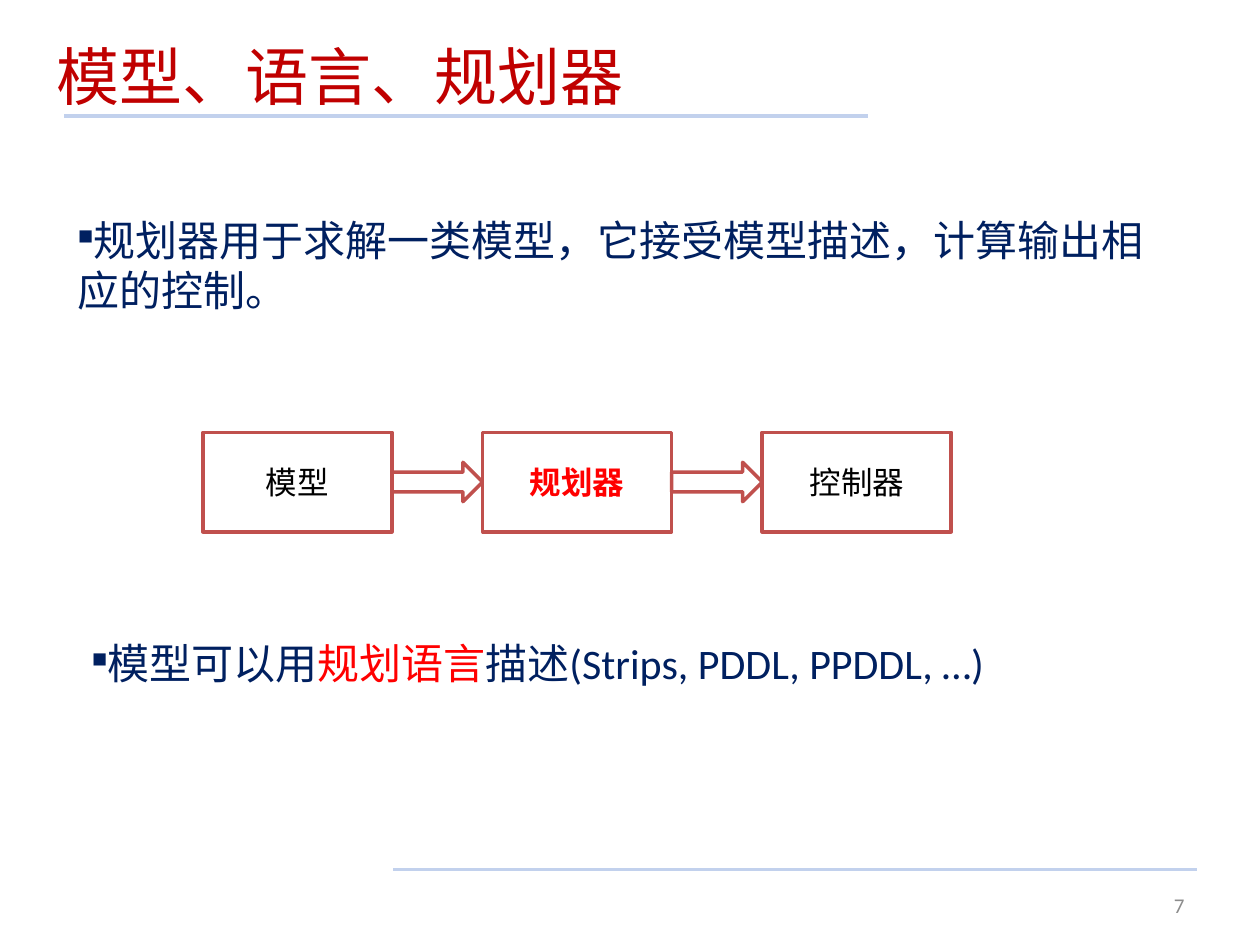
from lxml.etree import SubElement
from pptx import Presentation
from pptx.dml.color import RGBColor
from pptx.enum.shapes import MSO_CONNECTOR, MSO_SHAPE
from pptx.enum.text import MSO_ANCHOR as ANCHOR, PP_ALIGN as ALIGN
from pptx.oxml.ns import qn
from pptx.util import Pt

FONT = "Calibri"
WHITE = RGBColor(0xFF, 0xFF, 0xFF)
BLACK = RGBColor(0x00, 0x00, 0x00)
RED = RGBColor(0xFF, 0x00, 0x00)
DARK_RED = RGBColor(0xC0, 0x00, 0x00)
NAVY = RGBColor(0x00, 0x20, 0x60)
BRICK = RGBColor(0xC0, 0x50, 0x4D)
PALE_BLUE = RGBColor(0xC2, 0xD1, 0xED)
GRAY = RGBColor(0x8C, 0x8C, 0x8C)


def add_run(paragraph, text, size, color, bold=False):
    """Append one formatted run to a paragraph."""
    run = paragraph.add_run()
    run.text = text
    run.font.name = FONT
    run.font.size = Pt(size)
    run.font.bold = bold
    run.font.color.rgb = color


def add_rule(slide, left, top, width):
    """Draw a pale horizontal rule."""
    rule = slide.shapes.add_connector(
        MSO_CONNECTOR.STRAIGHT, Pt(left), Pt(top), Pt(left + width), Pt(top))
    rule.line.color.rgb = PALE_BLUE
    rule.line.width = Pt(2)
    SubElement(rule._element.spPr, qn("a:effectLst"))


def place_title(slide, text, left, top, width, height):
    """Move and format the title placeholder."""
    title = slide.shapes.title
    title.left, title.top = Pt(left), Pt(top)
    title.width, title.height = Pt(width), Pt(height)
    title.text_frame.vertical_anchor = ANCHOR.MIDDLE
    heading = title.text_frame.paragraphs[0]
    heading.alignment = ALIGN.LEFT
    add_run(heading, text, 36, DARK_RED)


def add_bullet(slide, pieces, left, top, width, height):
    """Add a bulleted statement made of (text, colour) pieces."""
    frame = slide.shapes.add_textbox(
        Pt(left), Pt(top), Pt(width), Pt(height)).text_frame
    frame.word_wrap = True
    statement = frame.paragraphs[0]
    props = statement._p.get_or_add_pPr()
    props.set("marL", "0")
    props.set("indent", str(-Pt(27)))
    SubElement(props, qn("a:buSzPct"), val="50000")
    SubElement(props, qn("a:buChar"), char="■")
    for text, color in pieces:
        add_run(statement, text, 24, color)


def add_outlined(slide, preset, left, top, width, height):
    """Add a white shape with a brick outline."""
    shape = slide.shapes.add_shape(preset, Pt(left), Pt(top), Pt(width), Pt(height))
    shape.shadow.inherit = False
    shape.fill.solid()
    shape.fill.fore_color.rgb = WHITE
    shape.line.color.rgb = BRICK
    shape.line.width = Pt(2)
    return shape


def add_flow(slide, stages, left, top, width, height):
    """Spread the stages evenly over the box and join them with block arrows."""
    stage_width, arrow_height = 108, 22.5
    pitch = (width - stage_width) / (len(stages) - 1)
    for index, (text, color, bold) in enumerate(stages):
        stage = add_outlined(slide, MSO_SHAPE.RECTANGLE,
                             left + index * pitch, top, stage_width, height)
        stage.text_frame.vertical_anchor = ANCHOR.MIDDLE
        label = stage.text_frame.paragraphs[0]
        label.alignment = ALIGN.CENTER
        add_run(label, text, 18, color, bold)
    for index in range(len(stages) - 1):
        add_outlined(slide, MSO_SHAPE.RIGHT_ARROW,
                     left + index * pitch + stage_width,
                     top + (height - arrow_height) / 2,
                     pitch - stage_width, arrow_height)


def add_page_number(slide, number, left, top, width, height):
    """Add the right-aligned page number."""
    frame = slide.shapes.add_textbox(
        Pt(left), Pt(top), Pt(width), Pt(height)).text_frame
    frame.word_wrap = True
    frame.vertical_anchor = ANCHOR.MIDDLE
    page = frame.paragraphs[0]
    page.alignment = ALIGN.RIGHT
    add_run(page, number, 12, GRAY)


def main():
    """Build and save the slide."""
    deck = Presentation()
    deck.slide_width, deck.slide_height = Pt(720), Pt(540)
    slide = deck.slides.add_slide(deck.slide_layouts[5])
    add_rule(slide, 36.7, 66.2, 459.4)
    add_rule(slide, 224.6, 496.8, 459.4)
    place_title(slide, "模型、语言、规划器", 25.2, 18, 669, 49.7)
    add_bullet(slide, [
        ("规划器用于求解一类模型，它接受模型描述，计算输出相应的控制。", NAVY),
    ], 37.4, 118.8, 629.3, 72)
    add_flow(slide, [
        ("模型", BLACK, False),
        ("规划器", RED, True),
        ("控制器", BLACK, False),
    ], 116, 247, 427.6, 56.9)
    add_bullet(slide, [
        ("模型可以用", NAVY),
        ("规划语言", RED),
        ("描述(Strips, PDDL, PPDDL, …)", NAVY),
    ], 45.4, 360.7, 629.3, 72)
    add_page_number(slide, "7", 598.3, 502.6, 85.7, 28.8)
    deck.save("out.pptx")


if __name__ == "__main__":
    main()
